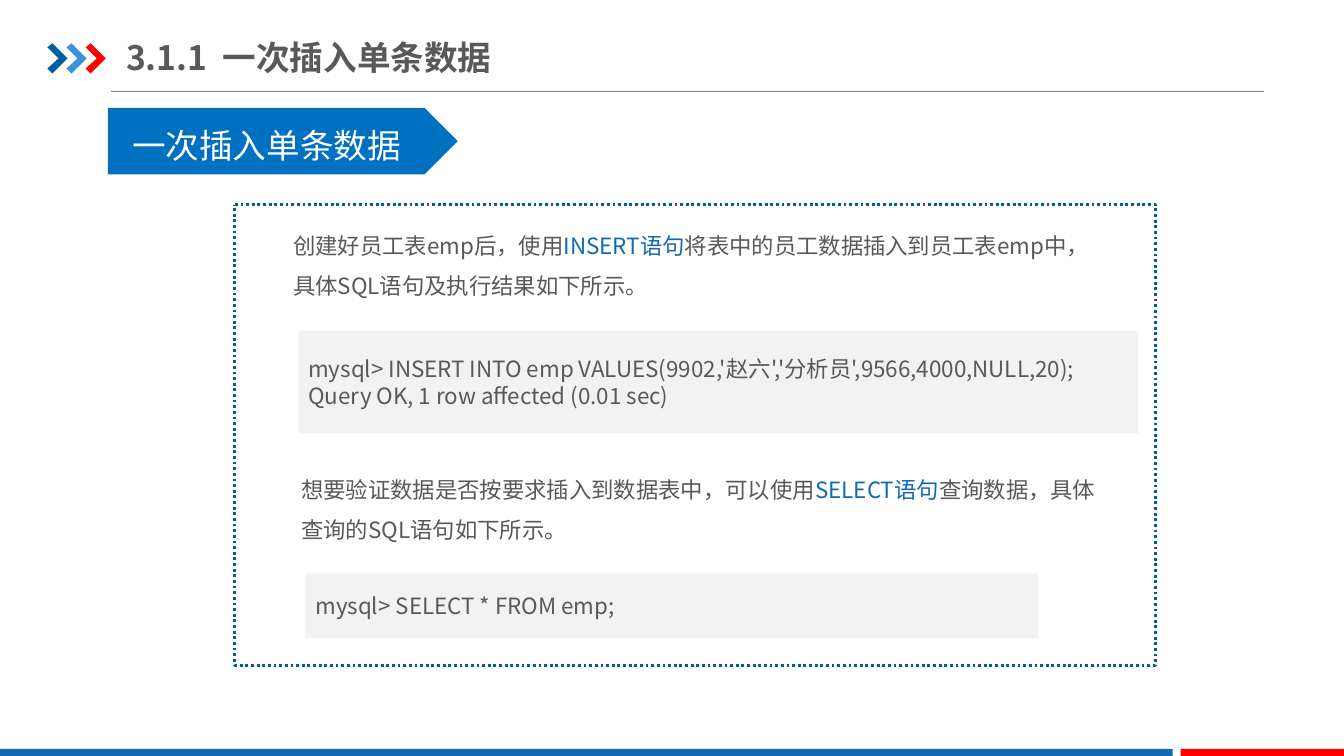
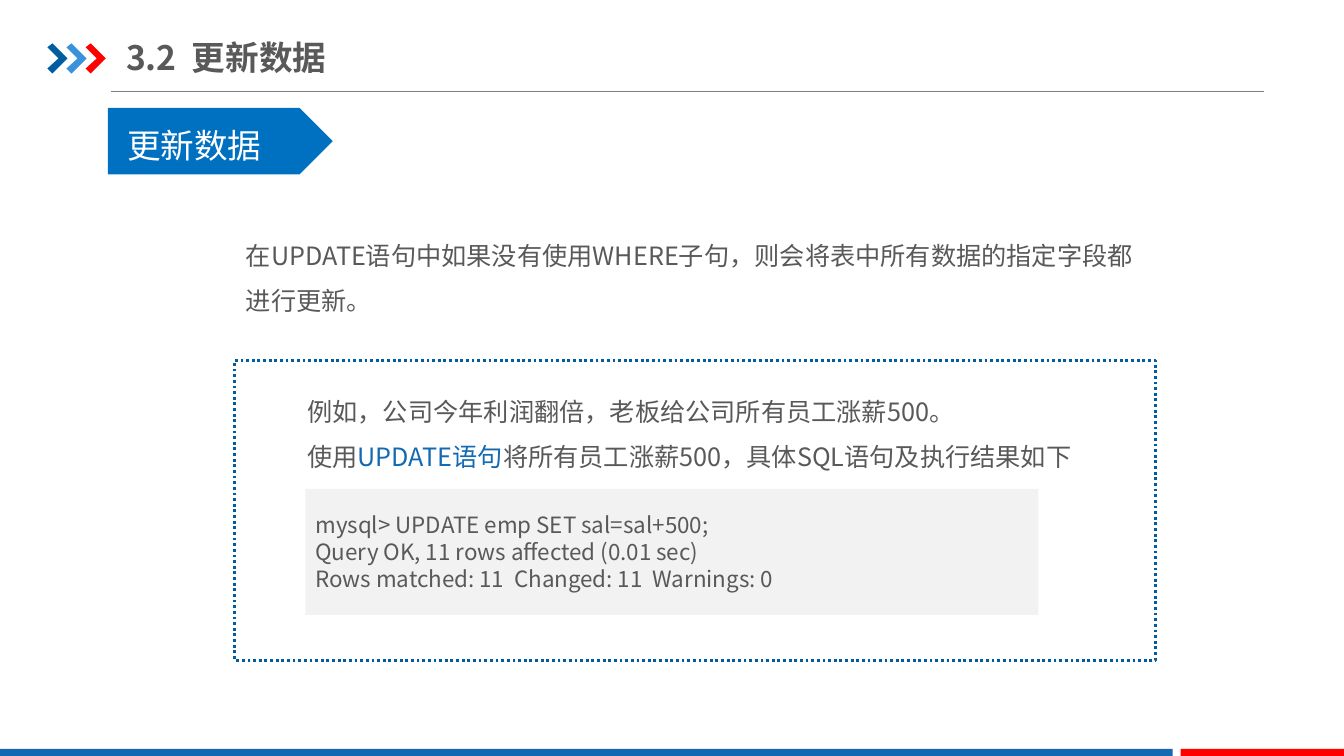
from dataclasses import dataclass
from typing import NamedTuple

from lxml.etree import SubElement
from pptx import Presentation
from pptx.dml.color import RGBColor
from pptx.enum.dml import MSO_LINE
from pptx.enum.shapes import MSO_CONNECTOR, MSO_SHAPE
from pptx.enum.text import MSO_ANCHOR, MSO_AUTO_SIZE, PP_ALIGN
from pptx.oxml.ns import qn
from pptx.util import Inches, Pt

NAVY = RGBColor(0x00, 0x5D, 0xA2)
SKY = RGBColor(0x39, 0x92, 0xDB)
RED = RGBColor(0xFF, 0x00, 0x00)
BLUE = RGBColor(0x13, 0x69, 0xB2)
BANNER_BLUE = RGBColor(0x00, 0x70, 0xC0)
INK = RGBColor(0x59, 0x59, 0x59)
RULE_GRAY = RGBColor(0x80, 0x80, 0x80)
CODE_GRAY = RGBColor(0xF2, 0xF2, 0xF2)
WHITE = RGBColor(0xFF, 0xFF, 0xFF)
FONT = "Noto Sans CJK SC"

CHEVRON_LEFT, CHEVRON_TOP, CHEVRON_STEP = 0.47, 0.43, 0.19
CHEVRON_OUTLINE = ((0, 0.04), (0.05, 0), (0.2, 0.15),
                   (0.05, 0.3), (0, 0.25), (0.11, 0.15))


class Box(NamedTuple):
    left: float
    top: float
    width: float
    height: float

    def lengths(self):
        return [Inches(value) for value in self]


class Accent(NamedTuple):
    text: str


@dataclass
class Banner:
    text: str
    width: float
    indent: float


@dataclass
class Passage:
    box: Box
    paragraphs: list
    size: int


@dataclass
class CodePanel:
    box: Box
    lines: list


@dataclass
class Lesson:
    title: str
    banner: Banner
    frame: Box
    passages: list
    panels: list


def write(text_frame, paragraphs, *, size, color=INK, bold=False, spacing=None,
          anchor=MSO_ANCHOR.TOP, insets=(0.1, 0.05, 0.1, 0.05),
          auto_size=MSO_AUTO_SIZE.NONE):
    text_frame.word_wrap = True
    text_frame.auto_size = auto_size
    text_frame.vertical_anchor = anchor
    (text_frame.margin_left, text_frame.margin_top,
     text_frame.margin_right, text_frame.margin_bottom) = map(Inches, insets)
    for index, pieces in enumerate(paragraphs):
        paragraph = text_frame.add_paragraph() if index else text_frame.paragraphs[0]
        paragraph.alignment = PP_ALIGN.LEFT
        if spacing:
            paragraph.line_spacing = spacing
        for piece in [pieces] if isinstance(pieces, str) else pieces:
            accented = isinstance(piece, Accent)
            run = paragraph.add_run()
            run.text = piece.text if accented else piece
            run.font.size = Pt(size)
            run.font.bold = bold
            run.font.color.rgb = BLUE if accented else color
            run.font.name = FONT
            east_asian = SubElement(run._r.get_or_add_rPr(), qn("a:ea"))
            east_asian.set("typeface", FONT)


def paint(shape, fill: RGBColor):
    shape.shadow.inherit = False
    shape.fill.solid()
    shape.fill.fore_color.rgb = fill
    shape.line.fill.background()
    return shape


def add_block(slide, box: Box, fill: RGBColor, preset=MSO_SHAPE.RECTANGLE):
    return paint(slide.shapes.add_shape(preset, *box.lengths()), fill)


def add_chevron(slide, left: float, fill: RGBColor):
    points = [(Inches(left + x), Inches(CHEVRON_TOP + y)) for x, y in CHEVRON_OUTLINE]
    builder = slide.shapes.build_freeform(*points[0])
    builder.add_line_segments(points[1:], close=True)
    paint(builder.convert_to_shape(), fill)


def add_decoration(slide):
    rule = slide.shapes.add_connector(
        MSO_CONNECTOR.STRAIGHT, Inches(1.1), Inches(0.91), Inches(12.54), Inches(0.91))
    rule.line.color.rgb = RULE_GRAY
    rule.line.width = Pt(0.75)
    SubElement(rule._element.spPr, qn("a:effectLst"))
    for position, color in enumerate((NAVY, SKY, RED)):
        add_chevron(slide, CHEVRON_LEFT + position * CHEVRON_STEP, color)
    add_block(slide, Box(0, 7.43, 11.63, 0.07), BLUE)
    add_block(slide, Box(11.71, 7.43, 1.62, 0.07), RED)


def add_title(slide, text: str):
    title = slide.shapes.title
    title.left, title.top, title.width, title.height = Box(1.25, 0.29, 4.26, 0.55).lengths()
    write(title.text_frame, [text], size=24, bold=True,
          anchor=MSO_ANCHOR.MIDDLE, insets=(0, 0.07, 0, 0.07))


def add_banner(slide, banner: Banner):
    plate = add_block(slide, Box(1.07, 1.07, banner.width, 0.66), BANNER_BLUE,
                      MSO_SHAPE.PENTAGON)
    write(plate.text_frame, [banner.text], size=24, color=WHITE,
          anchor=MSO_ANCHOR.MIDDLE, insets=(banner.indent, 0.08, 0, 0))


def add_dotted_frame(slide, box: Box):
    frame = add_block(slide, box, WHITE, MSO_SHAPE.FLOWCHART_PROCESS)
    frame.line.color.rgb = NAVY
    frame.line.width = Pt(2)
    frame.line.dash_style = MSO_LINE.ROUND_DOT


def add_passage(slide, passage: Passage):
    text_box = slide.shapes.add_textbox(*passage.box.lengths())
    write(text_box.text_frame, passage.paragraphs, size=passage.size, spacing=1.5,
          auto_size=MSO_AUTO_SIZE.SHAPE_TO_FIT_TEXT)


def add_code_panel(slide, panel: CodePanel):
    block = add_block(slide, panel.box, CODE_GRAY)
    write(block.text_frame, panel.lines, size=16, anchor=MSO_ANCHOR.MIDDLE)


def add_lesson(deck, lesson: Lesson):
    slide = deck.slides.add_slide(deck.slide_layouts.get_by_name("Title Only"))
    add_decoration(slide)
    add_title(slide, lesson.title)
    add_banner(slide, lesson.banner)
    add_dotted_frame(slide, lesson.frame)
    for passage in lesson.passages:
        add_passage(slide, passage)
    for panel in lesson.panels:
        add_code_panel(slide, panel)


LESSONS = [
    Lesson(
        title="3.1.1  一次插入单条数据",
        banner=Banner("一次插入单条数据", 3.47, 0.24),
        frame=Box(2.33, 2.03, 9.13, 4.57),
        passages=[
            Passage(Box(2.81, 2.12, 8.21, 0.91), [
                ("创建好员工表emp后，使用", Accent("INSERT语句"),
                 "将表中的员工数据插入到员工表emp中，具体SQL语句及执行结果如下所示。"),
            ], 16),
            Passage(Box(2.89, 4.54, 8.21, 0.91), [
                ("想要验证数据是否按要求插入到数据表中，可以使用", Accent("SELECT语句"),
                 "查询数据，具体查询的SQL语句如下所示。"),
            ], 16),
        ],
        panels=[
            CodePanel(Box(2.96, 3.28, 8.33, 1.02), [
                "mysql> INSERT INTO emp VALUES(9902,'赵六','分析员',9566,4000,NULL,20);",
                "Query OK, 1 row affected (0.01 sec)",
            ]),
            CodePanel(Box(3.03, 5.69, 7.27, 0.64), ["mysql> SELECT * FROM emp;"]),
        ],
    ),
    Lesson(
        title="3.2  更新数据",
        banner=Banner("更新数据", 2.23, 0.19),
        frame=Box(2.33, 3.58, 9.13, 2.97),
        passages=[
            Passage(Box(2.34, 2.18, 9.13, 1.01), [
                "在UPDATE语句中如果没有使用WHERE子句，则会将表中所有数据的指定字段都进行更新。",
            ], 18),
            Passage(Box(2.95, 3.73, 8.21, 1.01), [
                "例如，公司今年利润翻倍，老板给公司所有员工涨薪500。",
                ("使用", Accent("UPDATE语句"),
                 "将所有员工涨薪500，具体SQL语句及执行结果如下"),
            ], 18),
        ],
        panels=[
            CodePanel(Box(3.03, 4.85, 7.27, 1.25), [
                "mysql> UPDATE emp SET sal=sal+500;",
                "Query OK, 11 rows affected (0.01 sec)",
                "Rows matched: 11  Changed: 11  Warnings: 0",
            ]),
        ],
    ),
]


def main():
    deck = Presentation()
    deck.slide_width, deck.slide_height = Inches(13.33), Inches(7.5)
    for lesson in LESSONS:
        add_lesson(deck, lesson)
    deck.save("out.pptx")


if __name__ == "__main__":
    main()
